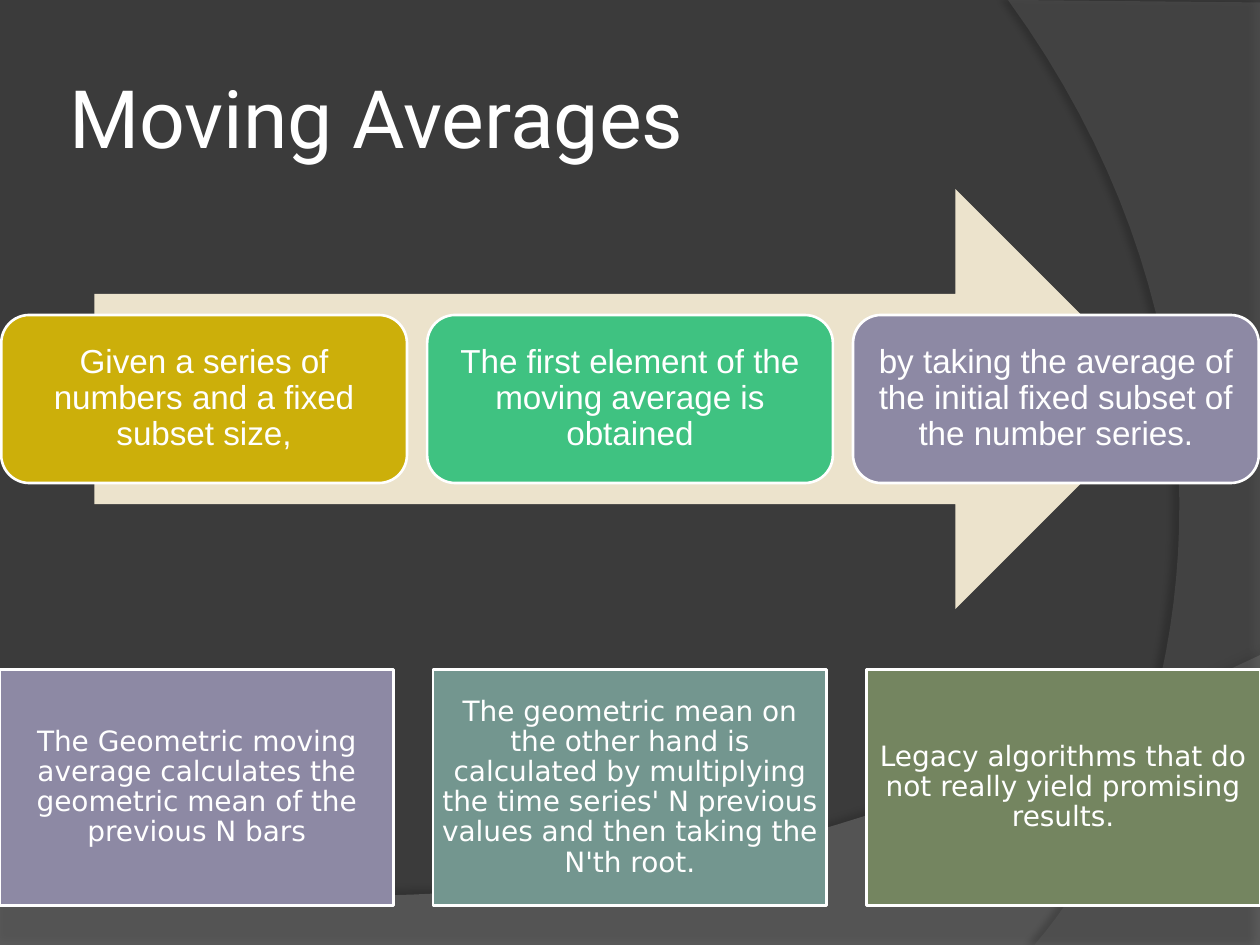
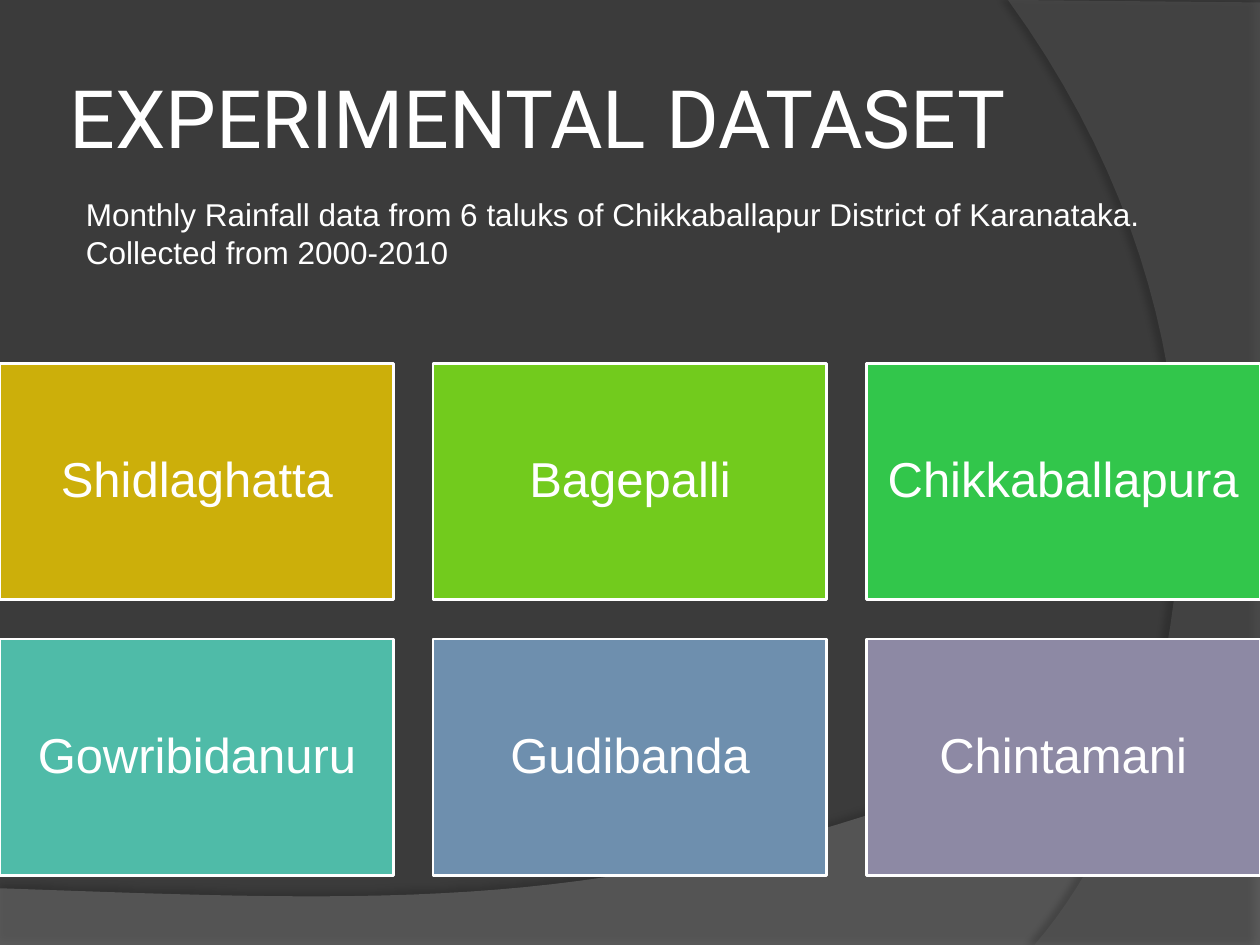
"""Build two slides on moving averages and the rainfall dataset."""
from pptx import Presentation
from pptx.dml.color import RGBColor
from pptx.enum.shapes import MSO_SHAPE as Preset
from pptx.enum.text import MSO_ANCHOR as Anchor, PP_ALIGN as Align
from pptx.oxml import parse_xml
from pptx.oxml.ns import nsdecls, qn
from pptx.util import Pt

COLORS = {
    "background": "3B3B3B", "floor": "7F7F7F", "side": "5E5E5E",
    "white": "FFFFFF", "arrow": "ECE3CC", "gold": "CCAF0A",
    "lime": "72CB1D", "green": "32C64B", "mint": "3FC281",
    "teal": "4FBBA8", "sage": "73968F", "olive": "748560",
    "blue": "6E8FAE", "violet": "8D89A4",
}
SLIDE_WIDTH, SLIDE_HEIGHT = 720, 540
CARD_WIDTH, CARD_HEIGHT, CARD_GAP = 225, 135, 22.5
STEP_WIDTH, STEP_PITCH = 231.84, 243.36
COLUMNS = 3
CURVE_STEPS = 40


def color(name):
    return RGBColor.from_string(COLORS[name])


def curve(start, control_1, control_2, end):
    points = []
    for step in range(CURVE_STEPS + 1):
        t = step / CURVE_STEPS
        weights = ((1 - t) ** 3, 3 * t * (1 - t) ** 2, 3 * t * t * (1 - t), t ** 3)
        corners = (start, control_1, control_2, end)
        points.append(tuple(sum(w * corner[axis] for w, corner in zip(weights, corners))
                            for axis in (0, 1)))
    return points


class Deck:
    def __init__(self):
        self.presentation = Presentation()
        self.presentation.slide_width = Pt(SLIDE_WIDTH)
        self.presentation.slide_height = Pt(SLIDE_HEIGHT)
        self.slide = None

    def add_slide(self, title):
        self.slide = self.presentation.slides.add_slide(self.presentation.slide_layouts[6])
        fill = self.slide.background.fill
        fill.solid()
        fill.fore_color.rgb = color("background")
        floor = curve((720, 374.4), (402.48, 524.88), (281.52, 517.68), (0, 507.6))
        self.band([(0, 540), (720, 540)] + floor, "floor", 45, 35, 3.5, 270)
        side = curve((591.12, 540), (673.2, 445.68), (732.96, 216), (576, 0))
        self.band([(720, 1.44), (720, 540)] + side, "side", 40, 45, 4, 180)
        self.text_box((36, 21.6, 588, 90), [title], 46, "Roboto", Anchor.MIDDLE, 3.6)

    def band(self, points, fill, opacity, shadow_opacity, distance, angle):
        points = [(Pt(x), Pt(y)) for x, y in points]
        builder = self.slide.shapes.build_freeform(*points[0])
        builder.add_line_segments(points[1:], close=True)
        shape = builder.convert_to_shape()
        self.paint(shape, fill)
        properties = shape.element.spPr
        properties.find(qn("a:solidFill"))[0].append(parse_xml(
            f'<a:alpha {nsdecls("a")} val="{opacity * 1000}"/>'))
        properties.find(qn("a:effectLst")).append(parse_xml(
            f'<a:outerShdw {nsdecls("a")} blurRad="{Pt(4)}" dist="{Pt(distance)}" '
            f'dir="{angle * 60000}" rotWithShape="0"><a:srgbClr val="000000">'
            f'<a:alpha val="{shadow_opacity * 1000}"/></a:srgbClr></a:outerShdw>'))

    def paint(self, shape, fill, outlined=False):
        shape.shadow.inherit = False
        shape.fill.solid()
        shape.fill.fore_color.rgb = color(fill)
        if outlined:
            shape.line.color.rgb = color("white")
            shape.line.width = Pt(1.5)
        else:
            shape.line.fill.background()

    def set_text(self, shape, lines, size, font, anchor, insets, align, spacing):
        frame = shape.text_frame
        frame.word_wrap = True
        frame.vertical_anchor = anchor
        frame.margin_left = frame.margin_right = Pt(insets[0])
        frame.margin_top = frame.margin_bottom = Pt(insets[1])
        frame.text = "\n".join(lines)
        for paragraph in frame.paragraphs:
            paragraph.alignment = align
            paragraph.line_spacing = spacing
            paragraph.font.size = Pt(size)
            paragraph.font.name = font
            paragraph.font.color.rgb = color("white")

    def text_box(self, place, lines, size, font, anchor, inset, spacing=None):
        shape = self.slide.shapes.add_textbox(*map(Pt, place))
        self.set_text(shape, lines, size, font, anchor, (inset, 3.6), Align.LEFT, spacing)

    def shape(self, preset, place, fill, outlined=False):
        shape = self.slide.shapes.add_shape(preset, *map(Pt, place))
        self.paint(shape, fill, outlined)
        return shape

    def box(self, preset, place, fill, text, size, font, inset):
        shape = self.shape(preset, place, fill, outlined=True)
        self.set_text(shape, [text], size, font, Anchor.MIDDLE, (inset, inset),
                      Align.CENTER, 0.9)

    def cards(self, top, items, size, font, inset):
        for index, (text, fill) in enumerate(items):
            row, column = divmod(index, COLUMNS)
            place = (column * (CARD_WIDTH + CARD_GAP), top + row * (CARD_HEIGHT + CARD_GAP),
                     CARD_WIDTH, CARD_HEIGHT)
            self.box(Preset.RECTANGLE, place, fill, text, size, font, inset)

    def steps(self, items):
        self.shape(Preset.RIGHT_ARROW, (54, 108, 612, 240), "arrow")
        for index, (text, fill) in enumerate(items):
            place = (0.72 + index * STEP_PITCH, 180, STEP_WIDTH, 96)
            self.box(Preset.ROUNDED_RECTANGLE, place, fill, text, 19, "Arial", 5.7)


def main():
    deck = Deck()

    deck.add_slide("Moving Averages")
    deck.steps([
        ("Given a series of numbers and a fixed subset size,", "gold"),
        ("The first element of the moving average is obtained", "mint"),
        ("by taking the average of the initial fixed subset of the number series.", "violet"),
    ])
    deck.cards(382.5, [
        ("The Geometric moving average calculates the geometric mean of the previous N bars",
         "violet"),
        ("The geometric mean on the other hand is calculated by multiplying the time series' "
         "N previous values and then taking the N'th root.", "sage"),
        ("Legacy algorithms that do not really yield promising results.", "olive"),
    ], 16, "DejaVu Sans", 4.8)

    deck.add_slide("EXPERIMENTAL DATASET")
    deck.cards(207.75, [
        ("Shidlaghatta", "gold"), ("Bagepalli", "lime"), ("Chikkaballapura", "green"),
        ("Gowribidanuru", "teal"), ("Gudibanda", "blue"), ("Chintamani", "violet"),
    ], 28, "Arial", 8.4)
    deck.text_box((42, 108, 642, 72), [
        "Monthly Rainfall data from 6 taluks of Chikkaballapur District of Karanataka.",
        "Collected from 2000-2010",
    ], 18, "Arial", Anchor.TOP, 7.2, Pt(21.7))

    deck.presentation.save("out.pptx")


if __name__ == "__main__":
    main()
